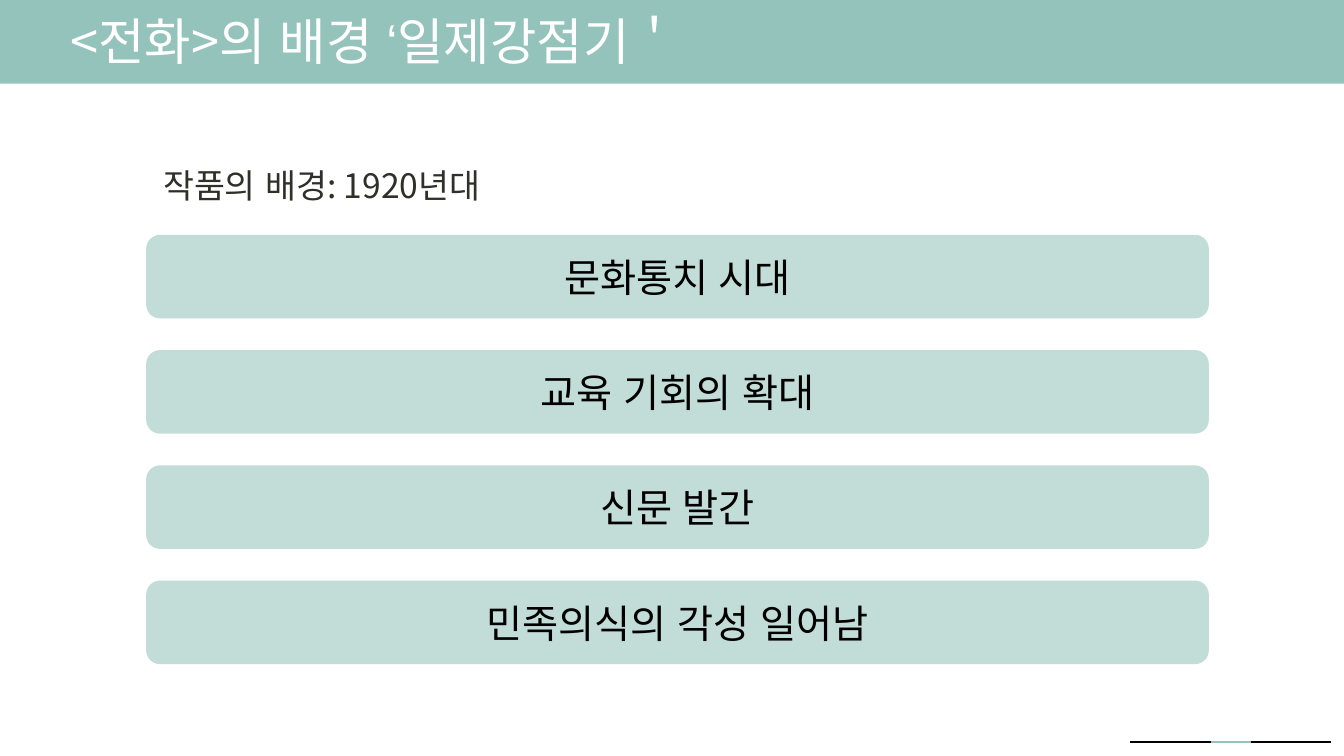
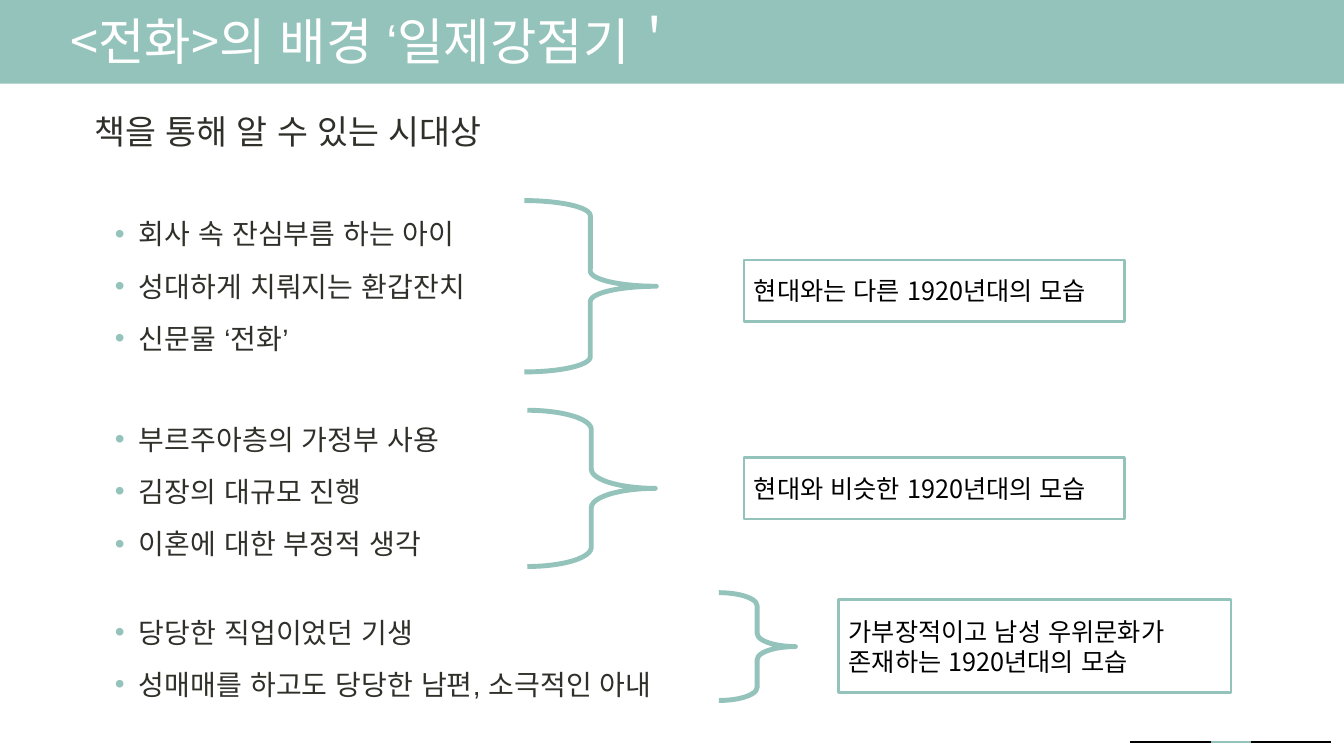
from lxml.etree import SubElement
from pptx import Presentation
from pptx.dml.color import RGBColor
from pptx.enum.shapes import MSO_CONNECTOR, MSO_SHAPE
from pptx.enum.text import MSO_ANCHOR, MSO_AUTO_SIZE, PP_ALIGN
from pptx.oxml.ns import qn
from pptx.util import Inches, Pt

TEAL, PALE, WHITE, BLACK, INK = "94C3BB", "C2DCD8", "FFFFFF", "000000", "30302A"
KOREAN, LATIN = "Noto Sans CJK KR", "Arial"
HEAD = "<전화>의 배경 ‘일제강점기＇"

rgb = RGBColor.from_string


def write(shape, lines, size, color, align=PP_ALIGN.LEFT, **extra):
    """Fill a shape with paragraphs in the deck's text style."""
    frame = shape.text_frame
    form = {"word_wrap": True, "auto_size": MSO_AUTO_SIZE.NONE,
            "vertical_anchor": MSO_ANCHOR.MIDDLE,
            "margin_left": Inches(0.1), "margin_right": Inches(0.1),
            "margin_top": Inches(0.05), "margin_bottom": Inches(0.05), **extra}
    for key, value in form.items():
        setattr(frame, key, value)
    for i, line in enumerate(lines):
        para = frame.add_paragraph() if i else frame.paragraphs[0]
        para.alignment = align
        for part in filter(None, line.partition(", ")):
            run = para.add_run()
            run.text = part
            face = LATIN if part == ", " else KOREAN
            font = {"name": face, "size": Pt(size), "bold": False}
            for key, value in font.items():
                setattr(run.font, key, value)
            run.font.color.rgb = rgb(color)
            # Arial sets the width of spaces and quotes between Korean words
            SubElement(run.font._element, qn("a:ea"), typeface=LATIN)
    return frame


def draw(slide, kind, left, top, width, height, fill=None, line=None, weight=1):
    """Add a flat preset shape."""
    shape = slide.shapes.add_shape(kind, Inches(left), Inches(top),
                                   Inches(width), Inches(height))
    shape.shadow.inherit = False
    if fill:
        shape.fill.solid()
        shape.fill.fore_color.rgb = rgb(fill)
    else:
        shape.fill.background()
    if line:
        shape.line.color.rgb = rgb(line)
        shape.line.width = Pt(weight)
    else:
        shape.line.fill.background()
    return shape


deck = Presentation()
deck.slide_width, deck.slide_height = Inches(13.33), Inches(7.5)
back = deck.slide_master.background.fill
back.solid()
back.fore_color.rgb = rgb(TEAL)

# Shared frame: panel, title, subtitle and footer dashes
subs = [("작품의 배경: 1920년대", 1.52, 1.59),
        ("책을 통해 알 수 있는 시대상", 0.84, 1.05)]
first, dash_end = 11.21, 13.2
step = (dash_end - first) / 5
for sub, left, top in subs:
    slide = deck.slides.add_slide(deck.slide_layouts[5])
    draw(slide, MSO_SHAPE.RECTANGLE, 0, 0.83, 13.33, 6.67, WHITE)
    title = slide.shapes.title
    place = {"left": 0.6, "top": 0.05, "width": 8, "height": 0.67}
    for key, value in place.items():
        setattr(title, key, Inches(value))
    write(title, [HEAD], 36, WHITE, vertical_anchor=MSO_ANCHOR.TOP)
    box = slide.shapes.add_textbox(Inches(left), Inches(top), Inches(5), Inches(0.5))
    write(box, [sub], 24, INK)
    for i in range(5):
        x = first + i * step
        dash = slide.shapes.add_connector(
            MSO_CONNECTOR.STRAIGHT, Inches(x), Inches(7.36),
            Inches(x + step), Inches(7.36))
        dash.line.color.rgb = rgb(TEAL if i == 2 else BLACK)
        dash.line.width = Pt(1.5)
        SubElement(dash._element.spPr, qn("a:effectLst"))
era, life = deck.slides

# Slide 1: four bars
bars = ["문화통치 시대", "교육 기회의 확대", "신문 발간", "민족의식의 각성 일어남"]
pitch = (5.76 - 2.33) / 3
for i, text in enumerate(bars):
    bar = draw(era, MSO_SHAPE.ROUNDED_RECTANGLE, 1.45, 2.33 + i * pitch,
               10.54, 0.83, PALE)
    write(bar, [text], 28, BLACK, PP_ALIGN.CENTER)

# Slide 2: bullets in groups, each with the gap above it
groups = [
    (0, ["회사 속 잔심부름 하는 아이", "성대하게 치뤄지는 환갑잔치", "신문물 ‘전화’"]),
    (48, ["부르주아층의 가정부 사용", "김장의 대규모 진행", "이혼에 대한 부정적 생각"]),
    (39, ["당당한 직업이었던 기생", "성매매를 하고도 당당한 남편, 소극적인 아내"]),
]
lines = [line for gap, group in groups for line in group]
gaps = [gap if i == 0 else 13.4 for gap, group in groups for i in range(len(group))]
box = life.shapes.add_textbox(Inches(1.04), Inches(2.1), Inches(5.9), Inches(5.1))
frame = write(box, lines, 20, INK, vertical_anchor=MSO_ANCHOR.TOP)
for para, gap in zip(frame.paragraphs, gaps):
    para.line_spacing = Pt(24)
    if gap:
        para.space_before = Pt(gap)
    props = para._p.get_or_add_pPr()
    props.set("marL", str(Inches(0.24)))
    props.set("indent", str(-Inches(0.24)))
    tint = SubElement(props, qn("a:buClr"))
    SubElement(tint, qn("a:srgbClr"), val=TEAL)
    SubElement(props, qn("a:buFont"), typeface=LATIN)
    SubElement(props, qn("a:buChar"), char="•")

# Braces: place, then curve depth
braces = [(5.2, 1.99, 1.31, 1.7, 0.15),
          (5.23, 4.07, 1.27, 1.55, 0.19),
          (7.13, 5.88, 0.76, 1.07, 0.13)]
for left, top, width, height, curve in braces:
    brace = draw(life, MSO_SHAPE.RIGHT_BRACE, left, top, width, height,
                 line=TEAL, weight=3.5)
    brace.adjustments[0] = curve / min(width, height)

# Outlined notes
notes = [("현대와는 다른 1920년대의 모습", 7.38, 2.58, 3.77, 0.61),
         ("현대와 비슷한 1920년대의 모습", 7.38, 4.54, 3.77, 0.61),
         ("가부장적이고 남성 우위문화가 존재하는 1920년대의 모습",
          8.32, 5.95, 3.89, 0.92)]
for text, *spot in notes:
    note = draw(life, MSO_SHAPE.RECTANGLE, *spot, line=TEAL, weight=2)
    write(note, [text], 18, BLACK)

deck.save("out.pptx")
